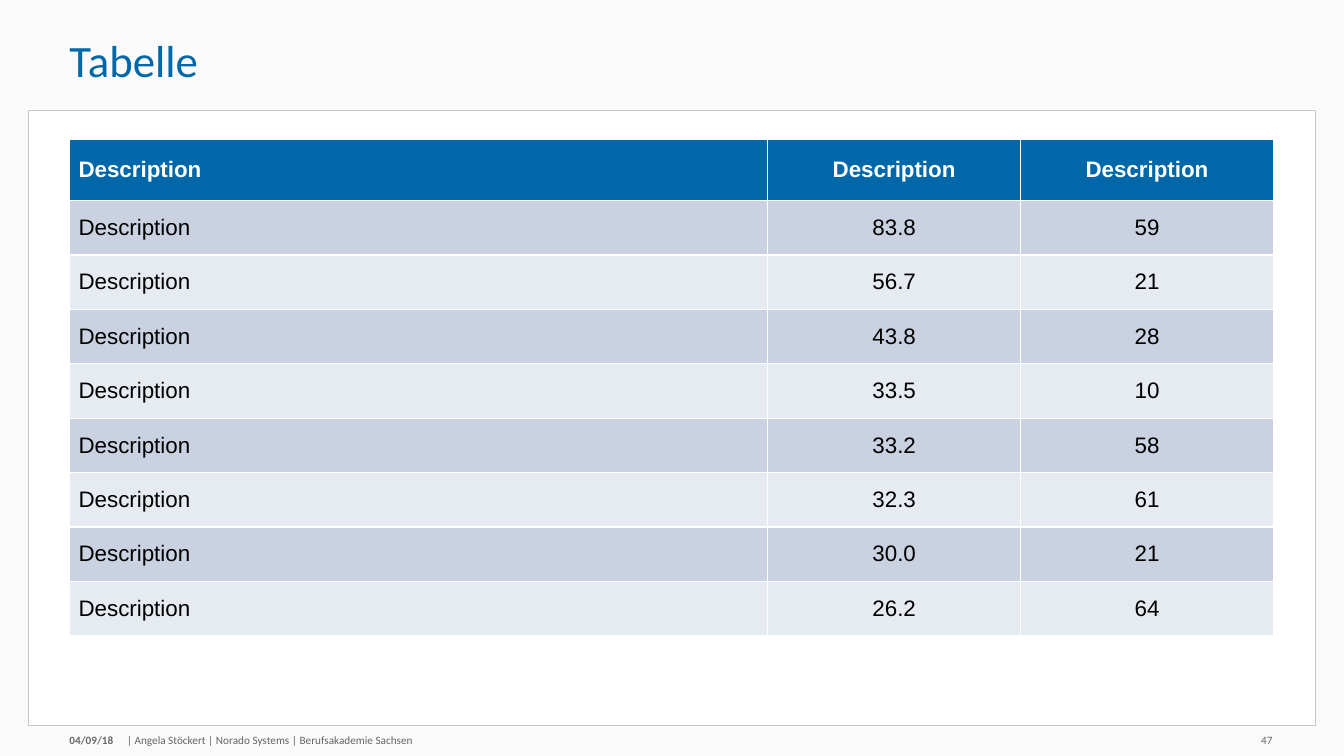
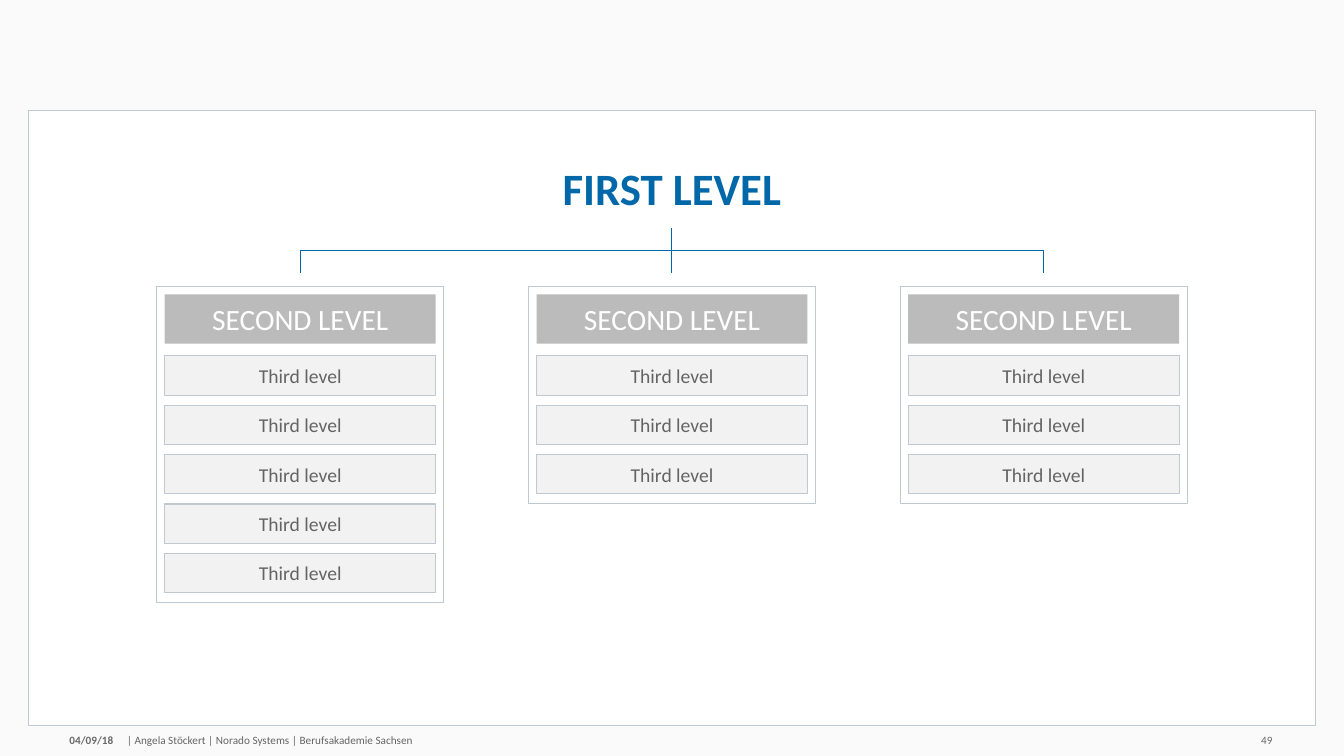
import pptx
import pptx.util
import pptx.dml.color
import pptx.enum.shapes
import pptx.enum.text
import pptx.oxml.ns
from lxml import etree

RGB = pptx.dml.color.RGBColor
BLUE = RGB(0x00, 0x68, 0xA9)
WHITE = RGB(0xFF, 0xFF, 0xFF)
BLACK = RGB(0x00, 0x00, 0x00)
PAPER = RGB(0xFA, 0xFA, 0xFA)
EDGE = RGB(0xBF, 0xC9, 0xD2)
GREY = RGB(0x64, 0x64, 0x64)
MUTE = RGB(0x68, 0x68, 0x68)
HEAD = RGB(0xBB, 0xBB, 0xBB)
PALE = RGB(0xF2, 0xF2, 0xF2)
BANDS = (RGB(0xCA, 0xD2, 0xE1), RGB(0xE6, 0xEA, 0xF1))

ALIGN = pptx.enum.text.PP_ALIGN
LEFT, MID, RIGHT = ALIGN.LEFT, ALIGN.CENTER, ALIGN.RIGHT
ANCHOR = pptx.enum.text.MSO_ANCHOR.MIDDLE
RECT = pptx.enum.shapes.MSO_SHAPE.RECTANGLE
LINE = pptx.enum.shapes.MSO_CONNECTOR.STRAIGHT
Inch, Pt = pptx.util.Inches, pptx.util.Pt

WIDE, HIGH = 13.34, 7.5
EDGE_X = 0.69
PANEL = (0.28, 1.1, WIDE - 2 * 0.28, 6.1)
FOOT_Y, FOOT_H = 7.28, 0.13

DATE = "04/09/18"
FOOT = "| Angela Stöckert | Norado Systems | Berufsakademie Sachsen"

NAME = "Description"
TABLE = [(NAME, NAME, NAME)] + [
    (NAME, *pair) for pair in (
        ("83.8", "59"), ("56.7", "21"), ("43.8", "28"), ("33.5", "10"),
        ("33.2", "58"), ("32.3", "61"), ("30.0", "21"), ("26.2", "64"))]
COLS = (6.93, 2.51, 2.51)
TOP_ROW, ROW = 0.61, 0.54

ROOT = "FIRST LEVEL"
TREE = [("SECOND LEVEL", ["Third level"] * n) for n in (5, 3, 3)]
BOX_W, PITCH, PAD = 2.85, 3.69, 0.08
BOX_Y, HEAD_H, ITEM_Y, ITEM_H, STEP = 2.84, 0.49, 3.53, 0.39, 0.49
STEM_Y, BAR_Y, DROP_Y = 2.26, 2.49, 2.71


def place(*nums):
    return [Inch(n) for n in nums]


def style(para, size, color, bold=False, align=LEFT, face="Calibri"):
    para.alignment = align
    for run in para.runs:
        font = run.font
        font.name, font.size, font.bold = face, Pt(size), bold
        font.color.rgb = color


def write(shape, text, size, color, bold=False, align=LEFT, inset=0):
    frame = shape.text_frame
    frame.word_wrap = True
    frame.vertical_anchor = ANCHOR
    frame.margin_left = frame.margin_right = Inch(inset)
    frame.margin_top = frame.margin_bottom = Inch(inset)
    frame.text = text
    style(frame.paragraphs[0], size, color, bold, align)
    return frame


def label(slide, area, *args, **opts):
    return write(slide.shapes.add_textbox(*place(*area)), *args, **opts)


def box(slide, area, fill=None, edge=None):
    shape = slide.shapes.add_shape(RECT, *place(*area))
    shape.shadow.inherit = False
    if fill is None:
        shape.fill.background()
    else:
        shape.fill.solid()
        shape.fill.fore_color.rgb = fill
    if edge is None:
        shape.line.fill.background()
    else:
        shape.line.color.rgb = edge
        shape.line.width = Pt(0.75)
    return shape


def rule(slide, *ends):
    line = slide.shapes.add_connector(LINE, *place(*ends))
    line.line.color.rgb = BLUE
    line.line.width = Pt(0.75)
    etree.SubElement(line._element.spPr, pptx.oxml.ns.qn("a:effectLst"))


def start(deck, page, title=None):
    slide = deck.slides.add_slide(deck.slide_layouts[6])
    box(slide, PANEL, WHITE, EDGE)
    if title:
        frame = label(slide, (EDGE_X, 0.14, 10.7, 0.97), title, 32, BLUE)
        frame.paragraphs[0].line_spacing = 0.9
    label(slide, (EDGE_X, FOOT_Y, 0.56, FOOT_H), DATE, 8, MUTE, bold=True)
    label(slide, (1.26, FOOT_Y, 4.67, FOOT_H), FOOT, 8, GREY)
    label(slide, (11.84, FOOT_Y, 0.79, FOOT_H), page, 8, MUTE, align=RIGHT)
    return slide


def grid(slide):
    rows = [TOP_ROW] + [ROW] * (len(TABLE) - 1)
    area = place(EDGE_X, 1.38, sum(COLS), sum(rows))
    table = slide.shapes.add_table(len(rows), len(COLS), *area).table
    for col, width in zip(table.columns, COLS):
        col.width = Inch(width)
    for r, vals in enumerate(TABLE):
        table.rows[r].height = Inch(rows[r])
        for c, val in enumerate(vals):
            cell = table.cell(r, c)
            cell.text = val
            cell.vertical_anchor = ANCHOR
            cell.margin_left = cell.margin_right = Inch(0.09)
            cell.margin_top = cell.margin_bottom = Inch(0.04)
            cell.fill.solid()
            cell.fill.fore_color.rgb = BANDS[(r - 1) % 2] if r else BLUE
            style(cell.text_frame.paragraphs[0], 16, BLACK if r else WHITE,
                  r == 0, MID if c else LEFT, "Arial")


def chart(slide):
    label(slide, (4, 1.52, WIDE - 8, 0.68), ROOT, 32, BLUE, True, MID, 0.07)
    mids = [WIDE / 2 + (i - (len(TREE) - 1) / 2) * PITCH
            for i in range(len(TREE))]
    rule(slide, mids[0], BAR_Y, mids[-1], BAR_Y)
    for mid, (head, items) in zip(mids, TREE):
        top = STEM_Y if mid == WIDE / 2 else BAR_Y
        rule(slide, mid, top, mid, DROP_Y)
        left = mid - BOX_W / 2
        tall = ITEM_Y - BOX_Y + STEP * len(items)
        box(slide, (left, BOX_Y, BOX_W, tall), edge=EDGE)
        left, width = left + PAD, BOX_W - 2 * PAD
        bar = box(slide, (left, BOX_Y + PAD, width, HEAD_H), HEAD)
        write(bar, head, 21, WHITE, align=MID, inset=0.07)
        for i, item in enumerate(items):
            area = (left, ITEM_Y + i * STEP, width, ITEM_H)
            write(box(slide, area, PALE, EDGE), item, 14, GREY,
                  align=MID, inset=0.07)


def main():
    deck = pptx.Presentation()
    deck.slide_width, deck.slide_height = place(WIDE, HIGH)
    back = deck.slide_master.background.fill
    back.solid()
    back.fore_color.rgb = PAPER
    grid(start(deck, "47", "Tabelle"))
    chart(start(deck, "49"))
    deck.save("out.pptx")


if __name__ == "__main__":
    main()
